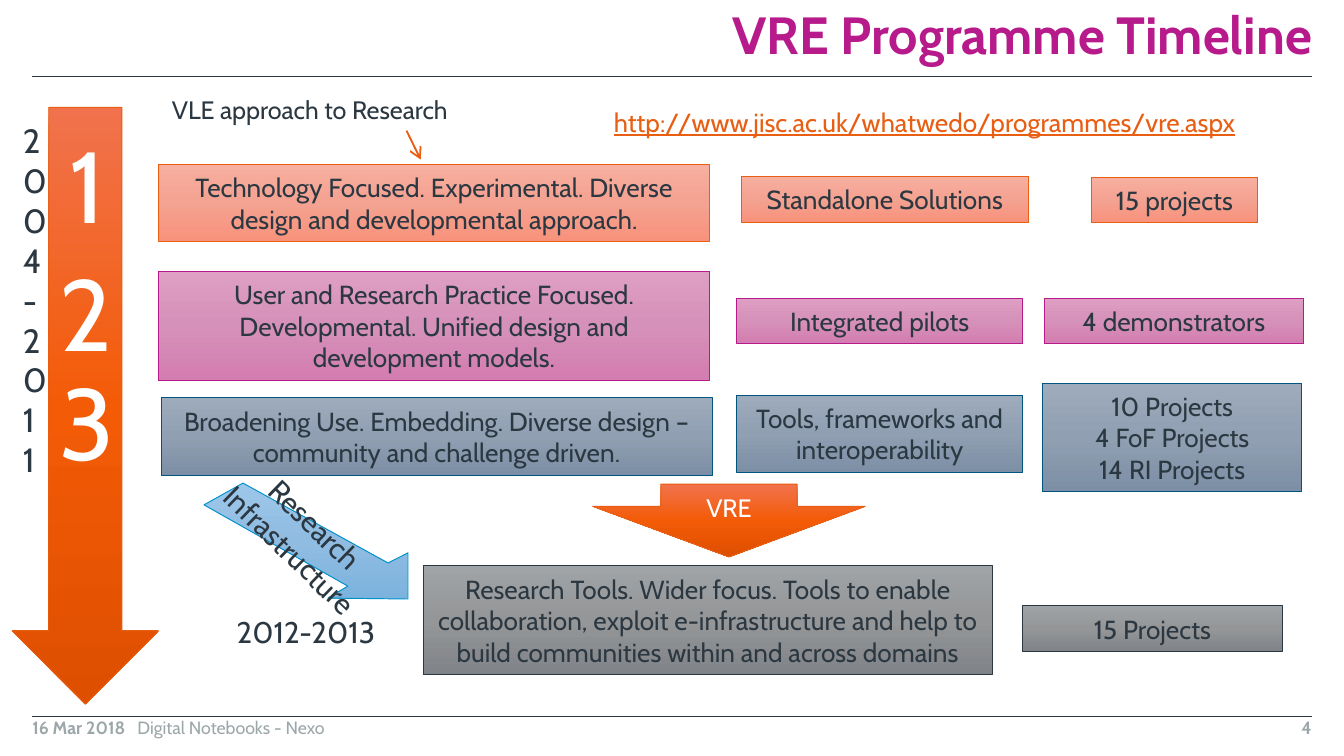
import copy

import pptx
import pptx.dml.color
import pptx.enum.shapes
import pptx.enum.text
import pptx.oxml
import pptx.oxml.ns
import pptx.util

Pt = pptx.util.Pt
RGBColor = pptx.dml.color.RGBColor
SHAPE = pptx.enum.shapes.MSO_SHAPE
ALIGN = pptx.enum.text.PP_ALIGN
ANCHOR = pptx.enum.text.MSO_ANCHOR
qn = pptx.oxml.ns.qn

FONT = "Cabin"
INK = RGBColor(0x2C, 0x38, 0x41)
GREY = RGBColor(0x9B, 0xA7, 0xA8)
WHITE = RGBColor(0xFF, 0xFF, 0xFF)
ORANGE = RGBColor(0xE8, 0x5E, 0x12)
MAGENTA = RGBColor(0xB7, 0x1A, 0x8B)
NAVY = RGBColor(0x00, 0x55, 0x7F)
CYAN = RGBColor(0x00, 0x92, 0xCB)


def shades(*codes):
    return [RGBColor.from_string(code) for code in codes]


# Gradient colours from top to bottom
FIRE = shades("F1724C", "F35B07", "DE4F00")
SALMON = shades("F7AF9F", "F4A291", "F8927C")
PINK = shades("DF9EC3", "D591B9", "D47DB0")
SLATE = shades("9DABBC", "909FB1", "7C8FA6")
STEEL = shades("A0A3A5", "949698", "808387")
SKY = shades("9DC6EA", "90BCE1", "7CB3DE")

NO_INSETS = (0, 0, 0, 0)
INSETS = (7.2, 3.6, 7.2, 3.6)
YEAR_INSETS = (5.8, 2.9, 5.8, 2.9)


def write(sp, text, size, color=INK, align=ALIGN.LEFT, anchor=ANCHOR.TOP,
          insets=INSETS, wrap=True, bold=False, underline=False, spacing=None):
    tf = sp.text_frame
    tf.word_wrap = wrap
    tf.auto_size = pptx.enum.text.MSO_AUTO_SIZE.NONE
    tf.vertical_anchor = anchor
    (tf.margin_left, tf.margin_top,
     tf.margin_right, tf.margin_bottom) = map(Pt, insets)
    tf.text = text
    for p in tf.paragraphs:
        p.alignment = align
        p.line_spacing = spacing
        p.font.name = FONT
        p.font.size = Pt(size)
        p.font.bold = bold
        p.font.underline = underline
        p.font.color.rgb = color


def add_text(s, box, text, size, **style):
    sp = s.shapes.add_textbox(*map(Pt, box))
    write(sp, text, size, **style)
    return sp


def paint(sp, colors, line):
    """Fill with a three-stop gradient running downwards."""
    sp.shadow.inherit = False
    sp.fill.gradient()
    sp.fill.gradient_angle = 270
    stop_list = sp._element.spPr.find(".//" + qn("a:gsLst"))
    stop_list.insert(1, copy.deepcopy(stop_list[0]))
    for stop, color, position in zip(sp.fill.gradient_stops, colors, (0, 0.5, 1)):
        stop.color.rgb = color
        stop.position = position
    sp.line.color.rgb = line
    sp.line.width = Pt(0.5)


def add_shape(s, kind, box, colors, line):
    sp = s.shapes.add_shape(kind, *map(Pt, box))
    paint(sp, colors, line)
    return sp


def add_box(s, left, top, width, lines, text, colors, line):
    """Draw a text box whose height follows its number of text lines."""
    height = 7.6 + 16.9 * lines
    sp = add_shape(s, SHAPE.RECTANGLE, (left, top, width, height), colors, line)
    write(sp, text, 14, align=ALIGN.CENTER, anchor=ANCHOR.MIDDLE)


def add_line(s, start, end, color, width, arrow=False):
    line = s.shapes.add_connector(pptx.enum.shapes.MSO_CONNECTOR.STRAIGHT,
                                  *map(Pt, start + end))
    line.line.color.rgb = color
    line.line.width = Pt(width)
    if arrow:
        tail = pptx.oxml.ns.qn("a:tailEnd")
        line.line._get_or_add_ln().append(
            line._element.makeelement(tail, {"type": "arrow"}))
    line._element.spPr.append(line._element.makeelement(qn("a:effectLst"), {}))


def add_frame(s):
    # Title, rules and footer
    title = s.shapes.title
    title.left, title.top, title.width, title.height = map(Pt, (218, 0, 484.7, 35.3))
    write(title, "VRE Programme Timeline", 28, color=MAGENTA, bold=True,
          align=ALIGN.RIGHT, anchor=ANCHOR.BOTTOM, insets=NO_INSETS, spacing=0.9)
    for y in (41, 383.8):
        add_line(s, (17.3, y), (702.7, y), INK, 0.5)
    for left, width, text, bold, align in (
            (17.3, 56.9, "16 Mar 2018", True, ALIGN.LEFT),
            (73.6, 572.4, "Digital Notebooks - Nexo", False, ALIGN.LEFT),
            (646.3, 56.4, "4", True, ALIGN.RIGHT)):
        add_text(s, (left, 383.8, width, 13), text, 9.5, color=GREY, bold=bold,
                 align=align, insets=NO_INSETS)


def add_timeline(s):
    # Long arrow with phase numbers and years
    add_shape(s, SHAPE.DOWN_ARROW, (6.5, 57.6, 78.5, 319.7), FIRE, ORANGE)
    for number, left, top in (("1", 26.4, 62), ("2", 25.4, 131), ("3", 26, 189.4)):
        add_text(s, (left, top, 41, 54), number, 54, color=WHITE,
                 align=ALIGN.CENTER, wrap=False)
    for box, text, size in (((6.5, 61.2, 15.1, 200.2), "2004-2011", 18),
                            ((121, 326.2, 89.3, 25.2), "2012-2013", 16)):
        add_text(s, box, text, size, anchor=ANCHOR.MIDDLE,
                 insets=YEAR_INSETS, spacing=0.99)


def add_phases(s):
    # Each row: colours, border, then left, top, width, line count and text
    rows = (
        (SALMON, ORANGE, (
            (85, 88, 295.2, 2, "Technology Focused. Experimental. Diverse "
             "design and developmental approach."),
            (397.4, 94.5, 153.4, 1, "Standalone Solutions"),
            (584.6, 95, 89.3, 1, "15 projects"))),
        (PINK, MAGENTA, (
            (85, 145.4, 295.2, 3, "User and Research Practice Focused. "
             "Developmental. Unified design and development models."),
            (394.6, 159.8, 153.4, 1, "Integrated pilots"),
            (559.4, 159.8, 139, 1, "4 demonstrators"))),
        (SLATE, NAVY, (
            (86.4, 213.2, 295.2, 2, "Broadening Use. Embedding. Diverse design – "
             "community and challenge driven."),
            (394.6, 211.7, 153.4, 2, "Tools, frameworks and interoperability"),
            (558.5, 205.2, 139, 3, "10 Projects\n4 FoF Projects\n14 RI Projects"))),
        (STEEL, INK, (
            (226.8, 303.2, 304.8, 3, "Research Tools. Wider focus. Tools to enable "
             "collaboration, exploit e-infrastructure and help to build "
             "communities within and across domains"),
            (547.9, 324.5, 139, 1, "15 Projects"))),
    )
    for colors, line, boxes in rows:
        for box in boxes:
            add_box(s, *box, colors, line)


def add_transitions(s):
    # Wide VRE arrow
    sp = add_shape(s, SHAPE.DOWN_ARROW, (317.5, 259.4, 146, 39), FIRE, ORANGE)
    sp.adjustments[1] = 0.695
    write(sp, "VRE", 13.5, color=WHITE, align=ALIGN.CENTER, anchor=ANCHOR.MIDDLE)

    # Slanted infrastructure arrow with its label
    outline = [(109.3, 270.5), (130.2, 258.8), (207.9, 301.6), (218.6, 296.2),
               (218.6, 320.9), (175.7, 320.4), (186.4, 314)]
    points = [(Pt(x), Pt(y)) for x, y in outline]
    builder = s.shapes.build_freeform(*points[0])
    builder.add_line_segments(points[1:])
    paint(builder.convert_to_shape(), SKY, CYAN)
    label = add_text(s, (102.3, 264.7, 120, 46), "Research Infrastructure", 16,
                     align=ALIGN.CENTER, anchor=ANCHOR.MIDDLE, insets=NO_INSETS)
    label.rotation = 44


def add_notes(s):
    # Remark with pointer, and web address
    add_text(s, (85, 46.8, 265, 21.6), "VLE approach to Research", 13.5)
    add_line(s, (217.8, 70), (225.4, 85.5), ORANGE, 1, arrow=True)
    add_text(s, (321.8, 53.3, 381.6, 18),
             "http://www.jisc.ac.uk/whatwedo/programmes/vre.aspx", 14,
             color=ORANGE, underline=True)


def main():
    prs = pptx.Presentation()
    prs.slide_width, prs.slide_height = Pt(720), Pt(405)
    s = prs.slides.add_slide(prs.slide_layouts[5])
    add_frame(s)
    add_timeline(s)
    add_phases(s)
    add_transitions(s)
    add_notes(s)
    prs.save("out.pptx")


if __name__ == "__main__":
    main()
